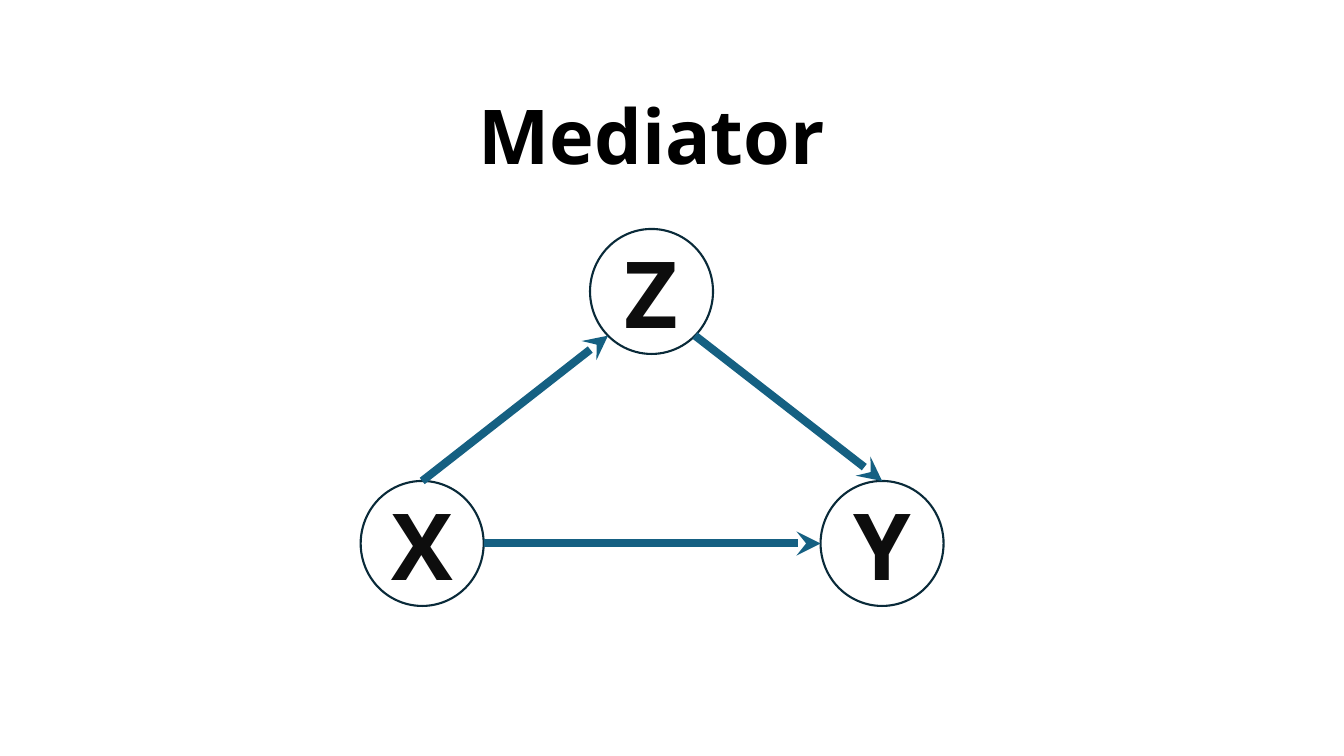
from math import sqrt

from lxml import etree
from pptx import Presentation
from pptx.dml.color import RGBColor
from pptx.enum.shapes import MSO_CONNECTOR, MSO_SHAPE
from pptx.enum.text import MSO_ANCHOR, PP_ALIGN
from pptx.oxml.ns import qn
from pptx.util import Cm, Pt

OVAL = MSO_SHAPE.OVAL
STRAIGHT = MSO_CONNECTOR.STRAIGHT
MIDDLE = MSO_ANCHOR.MIDDLE
CENTER = PP_ALIGN.CENTER

TITLE = "Mediator"
NODES = {"X": (9.09, 12.12), "Y": (20.68, 12.12), "Z": (14.87, 5.77)}
ARROWS = [
    ("X", "right", "Y", "left"),
    ("X", "top", "Z", "lower left"),
    ("Z", "lower right", "Y", "top"),
]

NODE_W, NODE_H = 3.1, 3.15
DIAGONAL = sqrt(0.5)
SITES = {
    "left": (-1, 0),
    "right": (1, 0),
    "top": (0, -1),
    "lower left": (-DIAGONAL, DIAGONAL),
    "lower right": (DIAGONAL, DIAGONAL),
}


def color(hex_string):
    return RGBColor.from_string(hex_string)


def write(tf, text, size, hex_string):
    p = tf.paragraphs[0]
    p.text = text
    p.alignment = CENTER
    p.font.name = "Noto Sans"
    p.font.size = Pt(size)
    p.font.bold = True
    p.font.color.rgb = color(hex_string)


def add_node(s, name):
    x, y = NODES[name]
    sp = s.shapes.add_shape(OVAL, Cm(x), Cm(y), Cm(NODE_W), Cm(NODE_H))
    sp.shadow.inherit = False
    sp.fill.background()
    sp.line.color.rgb = color("092A39")
    sp.line.width = Pt(1.5)
    sp.text_frame.vertical_anchor = MIDDLE
    write(sp.text_frame, name, 66, "0D0D0D")


def site_point(name, site):
    x, y = NODES[name]
    dx, dy = SITES[site]
    return Cm(x + NODE_W / 2 * (1 + dx)), Cm(y + NODE_H / 2 * (1 + dy))


def add_arrow(s, source, source_site, target, target_site):
    start = site_point(source, source_site)
    end = site_point(target, target_site)
    cxn = s.shapes.add_connector(STRAIGHT, *start, *end)
    cxn.line.color.rgb = color("156082")
    cxn.line.width = Pt(5.75)
    etree.SubElement(cxn.line._get_or_add_ln(), qn("a:tailEnd"), type="stealth")
    etree.SubElement(cxn._element.spPr, qn("a:effectLst"))


prs = Presentation()
prs.slide_width, prs.slide_height = Cm(33.87), Cm(19.05)
s = prs.slides.add_slide(prs.slide_layouts[6])

for name in NODES:
    add_node(s, name)
for arrow in ARROWS:
    add_arrow(s, *arrow)

title = s.shapes.add_textbox(Cm(7.57), Cm(2.11), Cm(17.7), Cm(2.57))
title.text_frame.word_wrap = True
write(title.text_frame, TITLE, 54, "000000")

prs.save("out.pptx")
